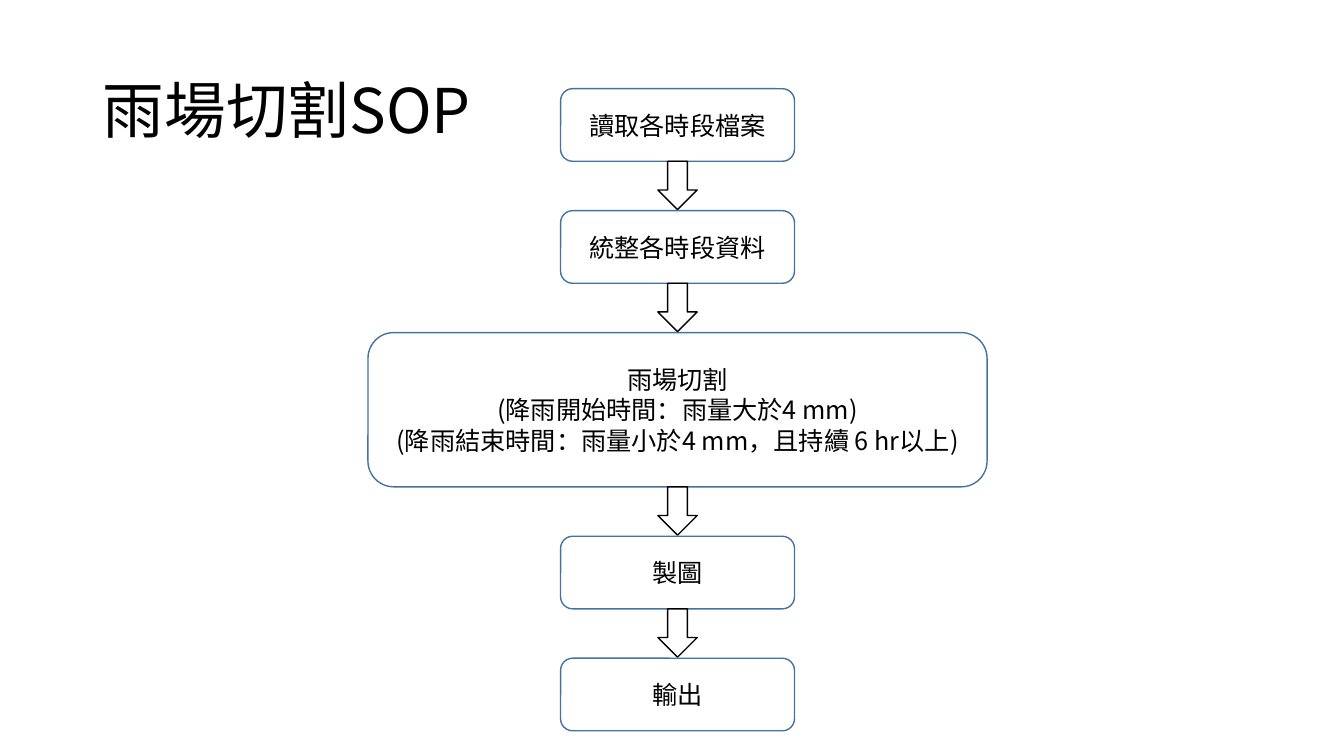
"""Build the rain event separation flowchart slide."""
from dataclasses import dataclass

from lxml import etree
from pptx import Presentation
from pptx.dml.color import RGBColor
from pptx.enum.shapes import MSO_SHAPE
from pptx.enum.text import MSO_ANCHOR, PP_ALIGN
from pptx.oxml.ns import qn
from pptx.shapes.autoshape import Shape
from pptx.slide import Slide
from pptx.text.text import TextFrame
from pptx.util import Inches, Pt

ROUNDED_BOX = MSO_SHAPE.ROUNDED_RECTANGLE
DOWN_ARROW = MSO_SHAPE.DOWN_ARROW
LEFT = PP_ALIGN.LEFT
CENTER = PP_ALIGN.CENTER
MIDDLE = MSO_ANCHOR.MIDDLE

BLACK = RGBColor(0x00, 0x00, 0x00)
WHITE = RGBColor(0xFF, 0xFF, 0xFF)
BLUE = RGBColor(0x43, 0x73, 0x9E)
FONT_NAME = "Noto Sans CJK SC"

FLOW_CENTER = 6.72
FLOW_TOP = 0.88
STEP_GAP = 0.49
ARROW_WIDTH = 0.39
ARROW_HEIGHT = 0.48


@dataclass(frozen=True)
class Step:
    lines: tuple[str, ...]
    width: float = 2.32
    height: float = 0.72


STEPS = (
    Step(("讀取各時段檔案",)),
    Step(("統整各時段資料",)),
    Step(
        (
            "雨場切割",
            "(降雨開始時間：雨量大於4 mm)",
            "(降雨結束時間：雨量小於4 mm，且持續 6 hr以上)",
        ),
        width=6.14,
        height=1.53,
    ),
    Step(("製圖",)),
    Step(("輸出",)),
)


def write_text(
    text_frame: TextFrame, lines: tuple[str, ...], size: int, alignment: PP_ALIGN
) -> None:
    text_frame.text = "\n".join(lines)
    text_frame.word_wrap = True
    text_frame.vertical_anchor = MIDDLE
    for paragraph in text_frame.paragraphs:
        paragraph.alignment = alignment
        font = paragraph.font
        font.size = Pt(size)
        font.color.rgb = BLACK
        font.name = FONT_NAME
        properties = paragraph._p.pPr.find(qn("a:defRPr"))
        etree.SubElement(properties, qn("a:ea"), typeface=FONT_NAME)


def add_flow_shape(
    slide: Slide,
    kind: MSO_SHAPE,
    top: float,
    width: float,
    height: float,
    line_color: RGBColor,
) -> Shape:
    shape = slide.shapes.add_shape(
        kind,
        Inches(FLOW_CENTER - width / 2),
        Inches(top),
        Inches(width),
        Inches(height),
    )
    shape.shadow.inherit = False
    shape.fill.solid()
    shape.fill.fore_color.rgb = WHITE
    shape.line.color.rgb = line_color
    shape.line.width = Pt(1)
    return shape


def add_title(slide: Slide) -> None:
    title = slide.shapes.title
    title.left, title.top = Inches(0.92), Inches(0.4)
    title.width, title.height = Inches(11.5), Inches(1.45)
    write_text(title.text_frame, ("雨場切割SOP",), 44, LEFT)
    title.text_frame.paragraphs[0].line_spacing = 0.9


def add_flow(slide: Slide) -> None:
    top = FLOW_TOP
    for index, step in enumerate(STEPS):
        if index:
            add_flow_shape(
                slide, DOWN_ARROW, top - STEP_GAP, ARROW_WIDTH, ARROW_HEIGHT, BLACK
            )
        box = add_flow_shape(slide, ROUNDED_BOX, top, step.width, step.height, BLUE)
        write_text(box.text_frame, step.lines, 18, CENTER)
        top += step.height + STEP_GAP


def main() -> None:
    presentation = Presentation()
    presentation.slide_width = Inches(13.33)
    presentation.slide_height = Inches(7.5)
    slide = presentation.slides.add_slide(presentation.slide_layouts[5])
    add_title(slide)
    add_flow(slide)
    presentation.save("out.pptx")


if __name__ == "__main__":
    main()
